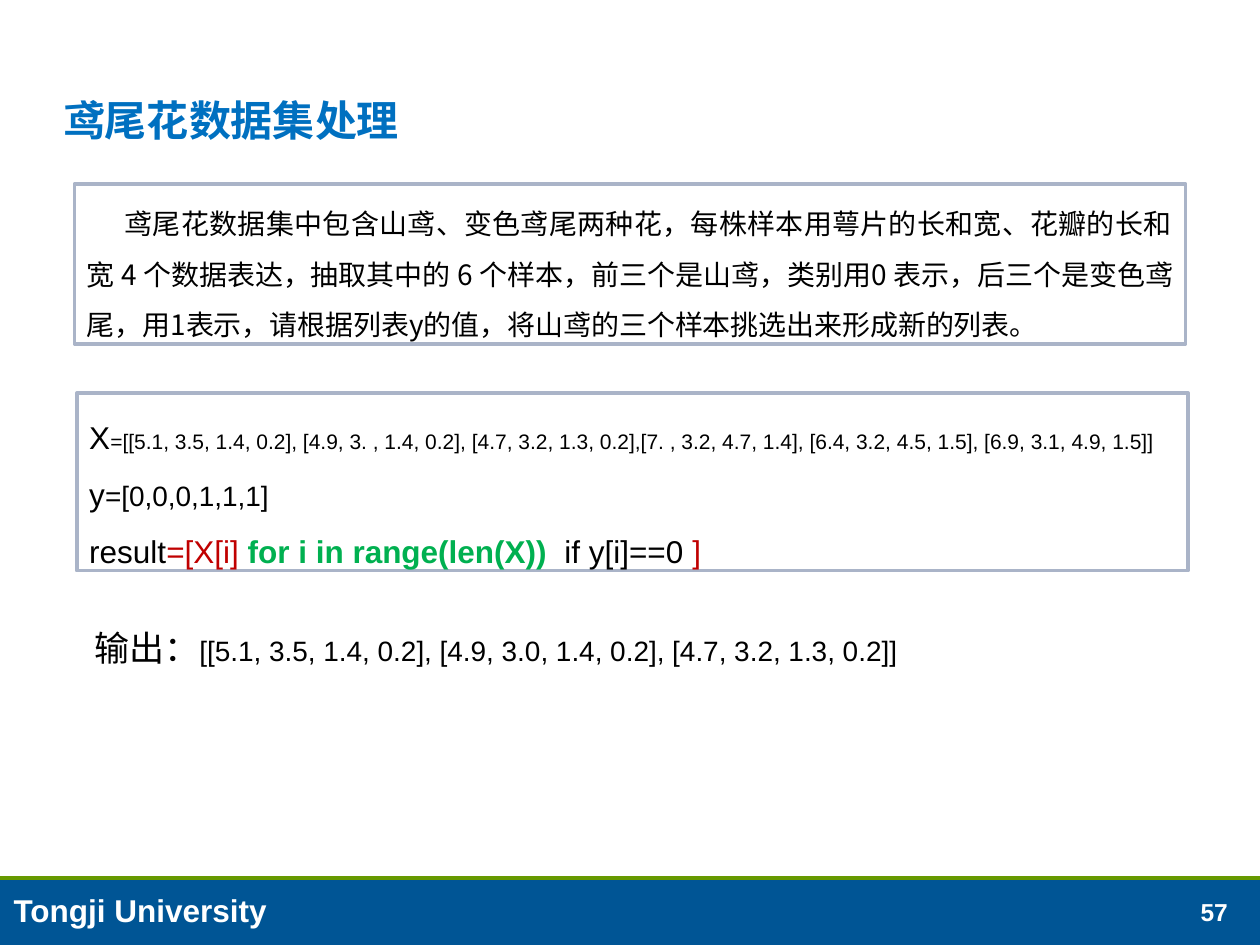
from dataclasses import dataclass

from lxml import etree
from pptx import Presentation
from pptx import util as u
from pptx.dml.color import RGBColor
from pptx.enum import shapes, text
from pptx.oxml.ns import qn

Inches, Pt = u.Inches, u.Pt
LEFT, JUST = text.PP_ALIGN.LEFT, text.PP_ALIGN.JUSTIFY


@dataclass(frozen=True)
class Theme:
    latin: str = "Arial"
    cjk: str = "Noto Sans CJK SC"
    black: str = "000000"
    white: str = "FFFFFF"
    title: str = "0070C0"
    edge: str = "AAB4C8"
    bar: str = "005595"
    rule: str = "669900"
    red: str = "C00000"
    green: str = "00B050"
    head: int = 24
    lead: int = 20
    code: int = 18
    body: int = 16
    page: int = 14
    data: int = 12


T = Theme()


def rgb(code):
    return RGBColor.from_string(code)


def put(obj, vals):
    for name, val in vals.items():
        setattr(obj, name, val)


def write(frame, paras, face=T.latin, **fmt):
    """Fill a frame with paragraphs, each a list of (text, size, colour, bold)."""
    for n, runs in enumerate(paras):
        para = frame.paragraphs[0] if n == 0 else frame.add_paragraph()
        put(para, {"alignment": LEFT, "space_before": Pt(0), **fmt})
        for words, size, color, bold in runs:
            run = para.add_run()
            run.text = words
            put(run.font, {"name": face, "size": Pt(size), "bold": bold})
            run.font.color.rgb = rgb(color)
            ea = etree.SubElement(run.font._element, qn("a:ea"))
            ea.set("typeface", T.cjk)


def label(slide, box, paras, **opts):
    frame = slide.shapes.add_textbox(*map(Inches, box)).text_frame
    put(frame, {"word_wrap": True, **opts})
    write(frame, paras)


def block(slide, box, fill, edge=None):
    """Add a plain rectangle and return its text frame."""
    rect = slide.shapes.add_shape(shapes.MSO_SHAPE.RECTANGLE, *map(Inches, box))
    rect.shadow.inherit = False
    rect.fill.solid()
    rect.fill.fore_color.rgb = rgb(fill)
    if edge:
        rect.line.color.rgb = rgb(edge)
        rect.line.width = Pt(2)
    else:
        rect.line.fill.background()
    put(rect.text_frame, {"word_wrap": True,
                          "vertical_anchor": text.MSO_ANCHOR.TOP})
    return rect.text_frame


def footer(slide, box):
    left, top, wide, _ = box
    block(slide, box, T.bar)
    rule = slide.shapes.add_connector(
        shapes.MSO_CONNECTOR.STRAIGHT,
        *map(Inches, (left, top, left + wide, top)))
    rule.line.color.rgb = rgb(T.rule)
    rule.line.width = Pt(2)
    etree.SubElement(rule._element.spPr, qn("a:effectLst"))
    label(slide, (left + wide - 0.57, top + 0.09, 0.53, 0.34),
          [[("57", T.page, T.white, True)]],
          word_wrap=False, vertical_anchor=text.MSO_ANCHOR.BOTTOM)
    label(slide, (left + 0.01, top + 0.05, 3.51, 0.4),
          [[("Tongji University", T.code, T.white, True)]])


def title(slide, box):
    shape = slide.shapes.title
    put(shape, dict(zip(("left", "top", "width", "height"), map(Inches, box))))
    frame = shape.text_frame
    put(frame, {"margin_left": Inches(0.07), "margin_right": Inches(0.07),
                "margin_top": Inches(0.04), "margin_bottom": Inches(0.04),
                "vertical_anchor": text.MSO_ANCHOR.BOTTOM,
                "auto_size": text.MSO_AUTO_SIZE.NONE, "word_wrap": True})
    write(frame, [[("鸢尾花数据集处理", T.head, T.title, True)]],
          line_spacing=0.95)


def task(slide, box):
    frame = block(slide, box, T.white, T.edge)
    words = ("鸢尾花数据集中包含山鸢、变色鸢尾两种花，每株样本用萼片的长和宽、"
             "花瓣的长和宽 4 个数据表达，抽取其中的 6 个样本，前三个是山鸢，"
             "类别用0 表示，后三个是变色鸢尾，用1表示，请根据列表y的值，"
             "将山鸢的三个样本挑选出来形成新的列表。")
    write(frame, [[(words, T.body, T.black, False)]], T.cjk,
          alignment=JUST, line_spacing=1.5, space_after=Pt(6))
    frame.paragraphs[0]._p.get_or_add_pPr().set("indent", str(Inches(0.3)))


def code(slide, box):
    data = ("=[[5.1, 3.5, 1.4, 0.2], [4.9, 3. , 1.4, 0.2], "
            "[4.7, 3.2, 1.3, 0.2],[7. , 3.2, 4.7, 1.4], "
            "[6.4, 3.2, 4.5, 1.5], [6.9, 3.1, 4.9, 1.5]]")
    write(block(slide, box, T.white, T.edge), [
        [("X", T.code, T.black, False), (data, T.data, T.black, False)],
        [("y", T.code, T.black, False),
         ("=[0,0,0,1,1,1]", T.body, T.black, False)],
        [("result", T.code, T.black, False),
         ("=[X[i] ", T.code, T.red, False),
         ("for i in range(len(X))  ", T.code, T.green, True),
         ("if y[i]==0 ", T.code, T.black, False),
         ("]", T.code, T.red, False)],
    ], line_spacing=1.5)


def output(slide, box):
    data = "[[5.1, 3.5, 1.4, 0.2], [4.9, 3.0, 1.4, 0.2], [4.7, 3.2, 1.3, 0.2]]"
    label(slide, box, [[("输出：", T.lead, T.black, False),
                        (data, T.body, T.black, False)]])


def main():
    deck = Presentation()
    put(deck, {"slide_width": Inches(10), "slide_height": Inches(7.5)})
    slide = deck.slides.add_slide(deck.slide_layouts.get_by_name("Title Only"))
    footer(slide, (0, 6.97, 10, 0.53))
    title(slide, (0.43, 0.55, 6.38, 0.65))
    task(slide, (0.59, 1.46, 8.82, 1.27))
    code(slide, (0.61, 3.12, 8.82, 1.41))
    output(slide, (0.65, 4.92, 8.74, 0.44))
    deck.save("out.pptx")


if __name__ == "__main__":
    main()
